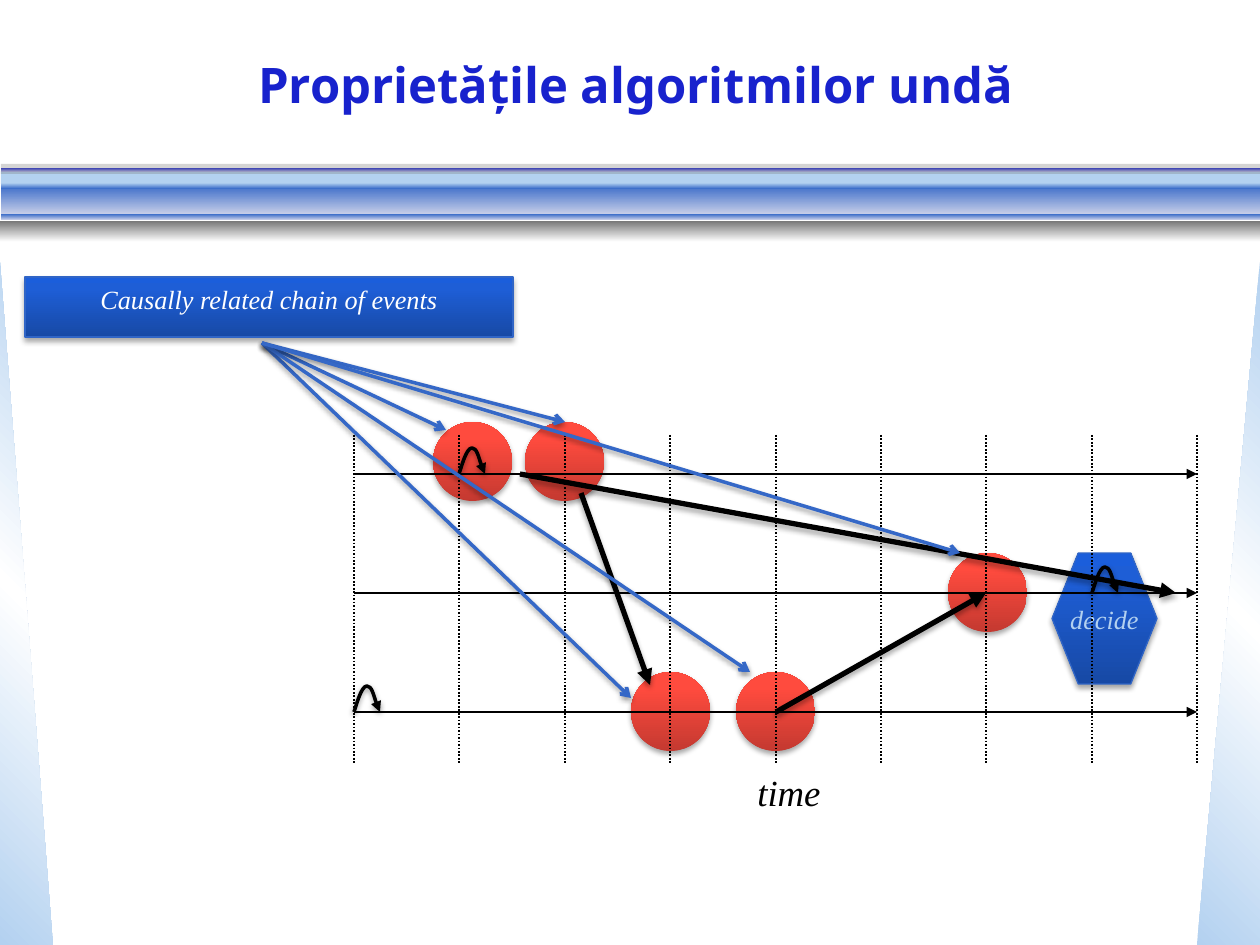
import lxml.etree
import pptx
import pptx.dml.color
import pptx.enum.dml
import pptx.enum.shapes
import pptx.enum.text
import pptx.oxml
import pptx.oxml.ns
import pptx.util

SCALE = 914400 / 126
SHAPES = pptx.enum.shapes.MSO_SHAPE
ANCHOR = pptx.enum.text.MSO_ANCHOR

BLACK, WHITE, BLUE, SKY, PALE = "000000", "FFFFFF", "3568C7", "B3D1F0", "CAD0E9"
TITLE_BLUE, GREY, BORDER = "1822CD", "777777", "3065C6"
RED_GRADIENT = ([(0, "C43930"), (80, "FF4B3E"), (100, "FF4C3F")], 270)
BLUE_GRADIENT = ([(0, "1749A5"), (80, "1E5ED6"), (100, "1B5EDB")], 270)
SIDE_STOPS = [(0, SKY), (50, WHITE), (100, SKY)]

# Shadows: opacity in percent, distance in points
SOFT, STRONG = (35, 1.8), (38, 1.6)


def px(value):
    return pptx.util.Emu(round(value * SCALE))


def color(value):
    return pptx.dml.color.RGBColor.from_string(value)


def add_element(parent, tag, **attributes):
    element = lxml.etree.SubElement(parent, pptx.oxml.ns.qn(tag))
    for name, value in attributes.items():
        element.set(name, str(value))
    return element


class SlideBuilder:
    serif = "Times New Roman"
    sans = "Noto Sans"

    def __init__(self, slide):
        self.slide = slide
        self.shapes = slide.shapes

    def set_text(self, shape, text, size, font, text_color, bold=False, italic=False,
                 anchor=ANCHOR.TOP, wrap=True):
        frame = shape.text_frame
        frame.text = text
        frame.word_wrap = wrap
        frame.vertical_anchor = anchor
        paragraph = frame.paragraphs[0]
        paragraph.alignment = pptx.enum.text.PP_ALIGN.CENTER
        run_font = paragraph.runs[0].font
        run_font.name = font
        run_font.size = pptx.util.Pt(size)
        run_font.bold, run_font.italic = bold, italic
        run_font.color.rgb = color(text_color)

    def title(self, left, top, width, height, text):
        shape = self.shapes.title
        shape.left, shape.top, shape.width, shape.height = map(px, (left, top, width, height))
        self.set_text(shape, text, 28, self.sans, TITLE_BLUE, bold=True, anchor=ANCHOR.MIDDLE)

    def effects(self, shape, shadow):
        effect_list = add_element(shape._element.spPr, "a:effectLst")
        if shadow:
            alpha, distance = shadow
            outer = add_element(effect_list, "a:outerShdw", blurRad=pptx.util.Pt(3.1),
                                dist=pptx.util.Pt(distance), dir=90 * 60000, rotWithShape=0)
            black = add_element(outer, "a:srgbClr", val=BLACK)
            add_element(black, "a:alpha", val=alpha * 1000)

    def gradient(self, shape, stops, angle):
        shape.fill.solid()
        properties = shape._element.spPr
        solid = properties.find(pptx.oxml.ns.qn("a:solidFill"))
        gradient = add_element(properties, "a:gradFill", rotWithShape=1)
        stop_list = add_element(gradient, "a:gsLst")
        for position, value in stops:
            stop = add_element(stop_list, "a:gs", pos=position * 1000)
            add_element(stop, "a:srgbClr", val=value)
        add_element(gradient, "a:lin", ang=angle * 60000, scaled=0)
        properties.replace(solid, gradient)

    def shape(self, kind, left, top, width, height, fill, border=None, shadow=None,
              opacity=100, mirrored=False):
        shape = self.shapes.add_shape(kind, px(left), px(top), px(width), px(height))
        if isinstance(fill, str):
            shape.fill.solid()
            shape.fill.fore_color.rgb = color(fill)
            if opacity < 100:
                value = shape._element.spPr.find(".//" + pptx.oxml.ns.qn("a:srgbClr"))
                add_element(value, "a:alpha", val=opacity * 1000)
        else:
            self.gradient(shape, *fill)
        if border:
            shape.line.color.rgb = color(border)
            shape.line.width = pptx.util.Pt(0.75)
        else:
            shape.line.fill.background()
        if mirrored:
            shape._element.spPr.xfrm.set("flipH", "1")
        self.effects(shape, shadow)
        return shape

    def stroke(self, shape, line_color, width, arrow=None, shadow=None, dash=None):
        shape.line.color.rgb = color(line_color)
        shape.line.width = pptx.util.Pt(width)
        if dash:
            shape.line.dash_style = dash
        if arrow:
            line = shape._element.spPr.find(pptx.oxml.ns.qn("a:ln"))
            add_element(line, "a:tailEnd", type=arrow)
        self.effects(shape, shadow)

    def line(self, start, end, line_color, width, **style):
        connector = self.shapes.add_connector(
            pptx.enum.shapes.MSO_CONNECTOR.STRAIGHT, *map(px, (*start, *end)))
        self.stroke(connector, line_color, width, **style)

    def hop(self, left, bottom, size=26):
        builder = self.shapes.build_freeform(px(left), px(bottom))
        builder.add_line_segments([(px(left + size / 2), px(bottom - size)),
                                   (px(left + size), px(bottom))], close=False)
        shape = builder.convert_to_shape()
        # Turn the two straight segments into curves
        curves = [[(2, 21), (7, 0), (13, 0)], [(18, 0), (23, 21), (26, 26)]]
        segments = list(shape._element.iter(pptx.oxml.ns.qn("a:lnTo")))
        for segment, points in zip(segments, curves):
            outline = segment.getparent()
            curve = add_element(outline, "a:cubicBezTo")
            for x, y in points:
                add_element(curve, "a:pt", x=px(x), y=px(y))
            outline.replace(segment, curve)
        shape.fill.background()
        self.stroke(shape, BLACK, 2, arrow="triangle", shadow=STRONG)

    def text(self, left, top, width, height, text, size):
        box = self.shapes.add_textbox(px(left), px(top), px(width), px(height))
        self.set_text(box, text, size, self.serif, BLACK, italic=True)


def main():
    presentation = pptx.Presentation()
    presentation.slide_width, presentation.slide_height = px(1260), px(945)
    builder = SlideBuilder(presentation.slides.add_slide(presentation.slide_layouts[5]))

    # Side wedges
    builder.shape(SHAPES.RIGHT_TRIANGLE, 0, 262, 53, 683, (SIDE_STOPS, 315))
    builder.shape(SHAPES.RIGHT_TRIANGLE, 1197, 262, 63, 683, (SIDE_STOPS, 45), mirrored=True)

    # Header band
    builder.shape(SHAPES.RECTANGLE, 1, 171, 1259, 13, SKY)
    for left, top, height, first, last in [
        (1, 184, 31, BLUE, PALE), (1, 168, 4, TITLE_BLUE, "BABBE7"),
        (1, 214, 6, BLUE, PALE), (1, 183, 6, SKY, BLUE), (0, 221, 21, GREY, WHITE),
    ]:
        builder.shape(SHAPES.RECTANGLE, left, top, 1260 - left, height,
                      ([(0, first), (100, last)], 90))
    builder.shape(SHAPES.RECTANGLE, 1, 164, 1259, 10, GREY, opacity=31)
    builder.title(21, 10, 1229, 147, "Proprietățile algoritmilor undă")

    # Time grid
    columns = [round(354 + 843 * index / 8) for index in range(9)]
    rows = [474 + 119 * index for index in range(3)]

    # Decision and events
    decision = builder.shape(SHAPES.HEXAGON, 1052, 553, 105, 131, BLUE_GRADIENT, BORDER, SOFT)
    builder.set_text(decision, "decide", 15, builder.serif, SKY, italic=True,
                     anchor=ANCHOR.MIDDLE, wrap=False)
    for left, top in [(433, 422), (631, 672), (736, 672), (948, 553), (525, 422)]:
        builder.shape(SHAPES.OVAL, left, top, 79, 79, RED_GRADIENT, shadow=SOFT)

    # Process lines and time steps
    message = dict(line_color=BLACK, width=3, arrow="triangle", shadow=SOFT)
    builder.line((520, rows[0]), (1176, rows[1]), **message)
    for y in rows:
        builder.line((columns[0], y), (columns[-1], y), BLACK, 0.75, arrow="triangle")
    for x in columns:
        builder.line((x, 435), (x, 763), BLACK, 1, dash=pptx.enum.dml.MSO_LINE.ROUND_DOT)

    # Messages and local steps
    builder.line((581, 493), (650, 685), **message)
    builder.line((columns[4], rows[2]), (columns[6], rows[1]), **message)
    for column, row in [(0, 2), (1, 0), (7, 1)]:
        builder.hop(columns[column], rows[row])
    builder.text(631, 764, 316, 76, "time", 21)

    # Label and its pointers
    label = builder.shape(SHAPES.RECTANGLE, 25, 277, 488, 60, BLUE_GRADIENT, BORDER, SOFT)
    builder.set_text(label, "Causally related chain of events", 15, builder.serif, WHITE,
                     italic=True)
    for target in [(446, 430), (565, 422), (631, 698), (750, 672), (960, 553)]:
        builder.line((262, 343), target, BLUE, 2, arrow="arrow", shadow=STRONG)

    presentation.save("out.pptx")


if __name__ == "__main__":
    main()
